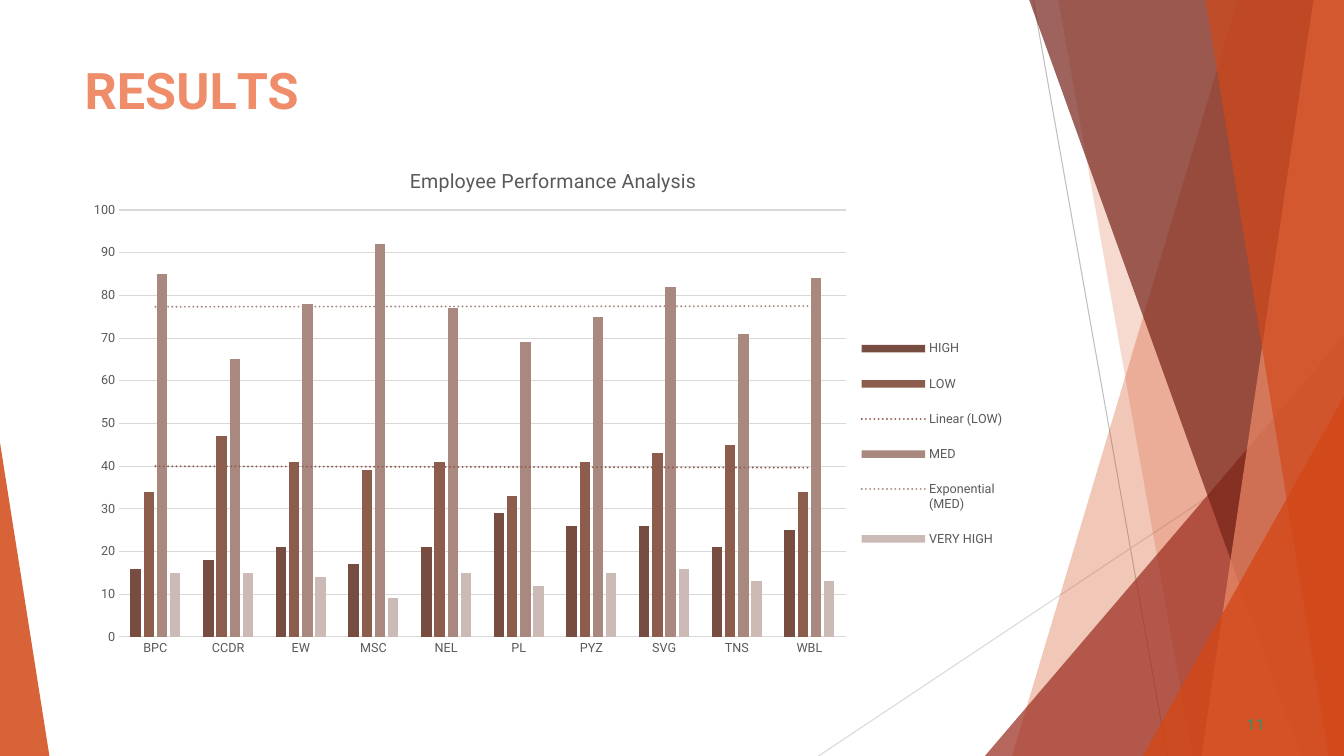
import pptx
import pptx.chart.data
import pptx.dml.color
import pptx.enum.chart
import pptx.enum.shapes
import pptx.enum.text
import pptx.oxml
import pptx.oxml.ns
import pptx.util

COLORS = {
    "orange": "D34817", "red": "9B2D1F", "maroon": "742217", "salmon": "EF8C6A",
    "green": "2D936B", "label": "595959", "grid": "D9D9D9", "line": "BFBFBF",
    "high": "764D40", "low": "8C5C4C", "med": "A9887F", "very_high": "CBBAB6",
}
FONT = "Roboto"
WIDTH, HEIGHT = pptx.util.Inches(13.333), pptx.util.Inches(7.5)

RULES = [
    ((76.88, 0), (86.85, 100), "line"),
    ((100, 53.73), (60.9, 100), "grid"),
]
FACETS = [
    ([(92.1, 0), (100, 0), (100, 100), (75.3, 100)], "orange", 30),
    ([(78.75, 0), (100, 0), (100, 100), (88.73, 100)], "orange", 20),
    ([(100, 44.4), (100, 100), (73.28, 100)], "red", 72),
    ([(76.58, 0), (100, 0), (100, 100), (96.83, 100)], "maroon", 70),
    ([(97.73, 0), (100, 0), (100, 100), (89.4, 100)], "salmon", 70),
    ([(89.7, 0), (100, 0), (100, 100), (98.85, 100)], "orange", 65),
    ([(100, 52.4), (100, 100), (85.05, 100)], "orange", 80),
    ([(0, 58.53), (3.68, 100), (0, 100)], "orange", 85),
]
TEXTS = [
    {"at": (6.23, 7.73, 70.5, 8.27), "indent": 0.01, "before": 1.1,
     "font": {"size": 36, "bold": True, "color": "salmon"},
     "spans": [("R", 0), ("E", -40), ("S", 10), ("U", -30), ("L", -400), ("TS", 0)]},
    {"at": (92.48, 94.4, 1.88, 2.8), "indent": 0.04, "before": 0.6,
     "font": {"size": 11, "bold": False, "color": "green"},
     "spans": [("11", 10)]},
]
CHART_AT = (5.55, 18.93, 70.5, 69.2)
CHART_TITLE = "Employee Performance Analysis"
DEPARTMENTS = ["BPC", "CCDR", "EW", "MSC", "NEL", "PL", "PYZ", "SVG", "TNS", "WBL"]
RATINGS = [
    ("HIGH", [16, 18, 21, 17, 21, 29, 26, 26, 21, 25], "high", None),
    ("LOW", [34, 47, 41, 39, 41, 33, 41, 43, 45, 34], "low", "linear"),
    ("MED", [85, 65, 78, 92, 77, 69, 75, 82, 71, 84], "med", "exp"),
    ("VERY HIGH", [15, 15, 14, 9, 15, 12, 15, 16, 13, 13], "very_high", None),
]
LAYOUTS = [
    ("c:chart/c:title", "c:overlay", {"x": 0.35, "y": 0.04}),
    ("c:chart/c:plotArea", "c:barChart",
     {"x": 0.047, "y": 0.128, "w": 0.767, "h": 0.816}),
    ("c:chart/c:legend", "c:overlay", {"x": 0.82, "y": 0.34, "w": 0.17, "h": 0.47}),
]


def across(share):
    return round(WIDTH * share / 100)


def down(share):
    return round(HEIGHT * share / 100)


def place(left, top, width, height):
    return across(left), down(top), across(width), down(height)


def rgb(name):
    return pptx.dml.color.RGBColor.from_string(COLORS[name])


def chart_xml(body, tag):
    return pptx.oxml.parse_xml(
        f'<c:{tag} {pptx.oxml.ns.nsdecls("c", "a")}>{body}</c:{tag}>')


def apply(target, values):
    for name, value in values.items():
        setattr(target, name, value)


def style_font(font, size, color, bold=False):
    apply(font, {"name": FONT, "size": pptx.util.Pt(size), "bold": bold})
    font.color.rgb = rgb(color)


def style_line(line, color):
    line.color.rgb = rgb(color)
    line.width = pptx.util.Pt(0.75)


def add_rule(page, start, end, color):
    rule = page.shapes.add_connector(
        pptx.enum.shapes.MSO_CONNECTOR.STRAIGHT,
        across(start[0]), down(start[1]), across(end[0]), down(end[1]))
    style_line(rule.line, color)
    pptx.oxml.ns.qn("a:effectLst")
    rule._element.spPr.append(
        pptx.oxml.parse_xml(f'<a:effectLst {pptx.oxml.ns.nsdecls("a")}/>'))


def add_facet(page, corners, color, opacity):
    points = [(across(x), down(y)) for x, y in corners]
    builder = page.shapes.build_freeform(*points[0], scale=1.0)
    builder.add_line_segments(points[1:], close=True)
    facet = builder.convert_to_shape()
    facet.shadow.inherit = False
    facet.line.fill.background()
    facet.fill.solid()
    facet.fill.fore_color.rgb = rgb(color)
    facet._element.spPr.xpath("a:solidFill/a:srgbClr")[0].append(
        pptx.oxml.parse_xml(
            f'<a:alpha {pptx.oxml.ns.nsdecls("a")} val="{opacity * 1000}"/>'))


def add_text(page, text):
    box = page.shapes.add_textbox(*place(*text["at"]))
    apply(box.text_frame, {
        "word_wrap": True, "auto_size": pptx.enum.text.MSO_AUTO_SIZE.SHAPE_TO_FIT_TEXT,
        "margin_left": 0, "margin_right": 0, "margin_bottom": 0,
        "margin_top": pptx.util.Inches(0.01)})
    para = box.text_frame.paragraphs[0]
    para.space_before = pptx.util.Pt(text["before"])
    para._p.get_or_add_pPr().set("marL", str(pptx.util.Inches(text["indent"])))
    for letters, spacing in text["spans"]:
        span = para.add_run()
        span.text = letters
        style_font(span.font, **text["font"])
        span._r.get_or_add_rPr().set("spc", str(spacing))


def add_trend(series, color, kind):
    trend = chart_xml(
        '<c:spPr><a:ln w="19050" cap="rnd"><a:solidFill>'
        f'<a:srgbClr val="{COLORS[color]}"/></a:solidFill>'
        '<a:prstDash val="sysDot"/></a:ln></c:spPr>'
        f'<c:trendlineType val="{kind}"/><c:dispRSqr val="0"/><c:dispEq val="0"/>',
        "trendline")
    series._element.find(pptx.oxml.ns.qn("c:cat")).addprevious(trend)


def set_layout(chart, owner, follower, shares):
    holder = chart._chartSpace.xpath(owner)[0]
    for old in holder.xpath("c:layout"):
        holder.remove(old)
    target = '<c:layoutTarget val="inner"/>' if follower == "c:barChart" else ""
    modes = '<c:xMode val="edge"/><c:yMode val="edge"/>'
    sizes = "".join(f'<c:{key} val="{value}"/>' for key, value in shares.items())
    layout = chart_xml(f"<c:manualLayout>{target}{modes}{sizes}</c:manualLayout>", "layout")
    holder.xpath(follower)[0].addprevious(layout)


def add_ratings_chart(page):
    data = pptx.chart.data.CategoryChartData()
    data.categories = DEPARTMENTS
    for name, values, _, _ in RATINGS:
        data.add_series(name, values)
    chart = page.shapes.add_chart(
        pptx.enum.chart.XL_CHART_TYPE.COLUMN_CLUSTERED, *place(*CHART_AT), data).chart
    style_font(chart.font, 10, "label")
    chart.has_title = True
    chart.chart_title.include_in_layout = False
    chart.chart_title.text_frame.text = CHART_TITLE
    style_font(chart.chart_title.text_frame.paragraphs[0].runs[0].font, 14, "label")
    chart.has_legend = True
    apply(chart.legend, {"position": pptx.enum.chart.XL_LEGEND_POSITION.RIGHT,
                         "include_in_layout": False})
    style_font(chart.legend.font, 9, "label")
    apply(chart.plots[0], {"gap_width": 219, "overlap": -27, "vary_by_categories": False})
    for axis in (chart.category_axis, chart.value_axis):
        axis.major_tick_mark = pptx.enum.chart.XL_TICK_MARK.NONE
        style_font(axis.tick_labels.font, 9, "label")
    style_line(chart.category_axis.format.line, "grid")
    apply(chart.value_axis, {"minimum_scale": 0, "maximum_scale": 100, "major_unit": 10})
    chart.value_axis.format.line.fill.background()
    style_line(chart.value_axis.major_gridlines.format.line, "grid")
    for series, (_, _, color, trend) in zip(chart.plots[0].series, RATINGS):
        series.format.fill.solid()
        series.format.fill.fore_color.rgb = rgb(color)
        if trend:
            add_trend(series, color, trend)
    for layout in LAYOUTS:
        set_layout(chart, *layout)


def main():
    deck = pptx.Presentation()
    apply(deck, {"slide_width": WIDTH, "slide_height": HEIGHT})
    page = deck.slides.add_slide(deck.slide_layouts[6])
    for rule in RULES:
        add_rule(page, *rule)
    for facet in FACETS:
        add_facet(page, *facet)
    for text in TEXTS:
        add_text(page, text)
    add_ratings_chart(page)
    deck.save("out.pptx")


if __name__ == "__main__":
    main()
